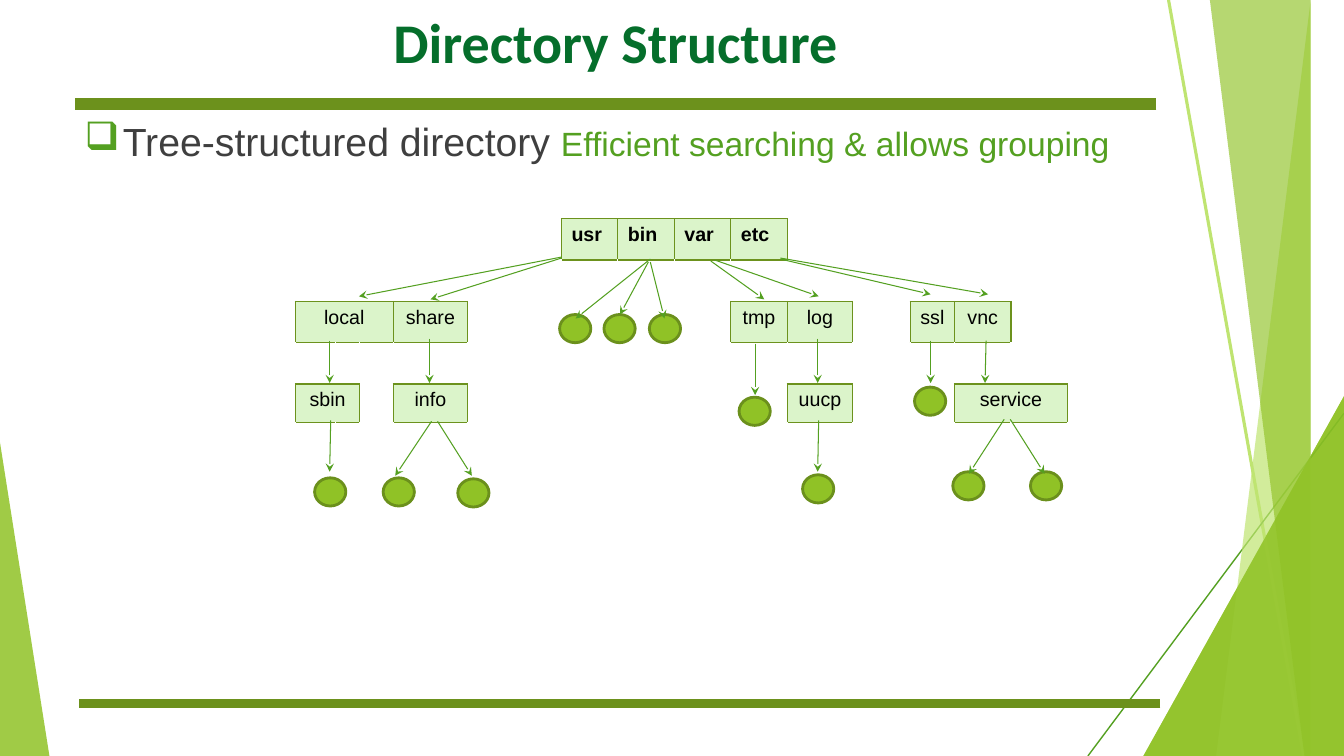
from lxml import etree
from pptx import Presentation
from pptx.dml.color import RGBColor
from pptx.enum import shapes, text
from pptx.oxml import ns
from pptx.util import Inches, Pt

WHITE = RGBColor(0xFF, 0xFF, 0xFF)
BLACK = RGBColor(0, 0, 0)
GREY = RGBColor(0x3F, 0x3F, 0x3F)
TITLE_GREEN = RGBColor(0x05, 0x6E, 0x2B)
GREEN = RGBColor(0x54, 0xA0, 0x21)
LIME = RGBColor(0x90, 0xC2, 0x26)
PALE_LIME = RGBColor(0xBF, 0xE4, 0x71)
RULE_GREEN = RGBColor(0x6C, 0x91, 0x1C)
EDGE_GREEN = RGBColor(0x6C, 0x92, 0x1D)
DOT_EDGE = RGBColor(0x6B, 0x90, 0x1C)
CELL_GREEN = RGBColor(0xDB, 0xF4, 0xCA)

TITLE = "Directory Structure"
HEADING = [("Tree-structured directory ", 28, GREY),
           ("Efficient searching & allows grouping", 24, GREEN)]

COLUMNS = [0.71, 0.4, 0.22, 0.33, 0.74, 0.37, 0.56, 0.56, 0.56, 0.56, 0.56,
           0.65, 0.57, 0.44, 0.56, 0.56, 0.34]
ROWS = [0.41, 0.41, 0.41, 0.41, 0.38, 0.41, 0.41]
DIRECTORIES = [
    (0, 7, 1, "usr"), (0, 8, 1, "bin"), (0, 9, 1, "var"), (0, 10, 1, "etc"),
    (2, 1, 3, "local"), (2, 4, 1, "share"), (2, 10, 1, "tmp"), (2, 11, 1, "log"),
    (2, 13, 1, "ssl"), (2, 14, 1, "vnc"),
    (4, 1, 2, "sbin"), (4, 4, 1, "info"), (4, 11, 1, "uucp"), (4, 14, 2, "service"),
]
FILES = [(5.55, 3.12), (5.99, 3.12), (6.44, 3.12), (7.33, 3.94), (9.07, 3.84),
         (3.12, 4.74), (3.8, 4.74), (4.54, 4.75), (7.96, 4.71), (9.45, 4.68),
         (10.22, 4.68)]
ARROWS = [
    (5.57, 2.55, 3.56, 2.94), (5.57, 2.56, 4.27, 2.97),
    (6.45, 2.57, 5.71, 3.16), (6.43, 2.6, 6.15, 3.12), (6.45, 2.6, 6.59, 3.16),
    (7.05, 2.59, 7.58, 2.97), (7.09, 2.58, 8.12, 2.94),
    (7.74, 2.57, 9.23, 2.92), (7.74, 2.56, 9.8, 2.92),
    (3.27, 3.38, 3.27, 3.8), (4.26, 3.36, 4.26, 3.8), (7.49, 3.41, 7.49, 3.92),
    (8.11, 3.36, 8.11, 3.8), (9.23, 3.38, 9.23, 3.8), (9.78, 3.38, 9.77, 3.8),
    (3.28, 4.17, 3.27, 4.68), (4.28, 4.18, 3.92, 4.72), (4.34, 4.18, 4.68, 4.72),
    (8.12, 4.17, 8.11, 4.68), (9.96, 4.16, 9.61, 4.7), (10.02, 4.16, 10.36, 4.7),
]

RIGHT_TRIANGLE = (11.34, 3.93, 1.99, 3.57, 1, 80)
LEFT_TRIANGLE = (0, 4.39, 0.49, 3.11, 0, 85)
STRIPES = [(11.59, 0, 12.93, 7.5, PALE_LIME, 2.25), (13.33, 4.1, 10.79, 7.5, GREEN, 1)]
BANDS = [([(13.03, 0), (13.33, 0), (13.33, 7.5), (11.92, 7.5)], PALE_LIME, 70),
         ([(11.96, 0), (13.33, 0), (13.33, 7.5), (13.18, 7.5)], LIME, 65)]
RULES = [(11.47, 1.03, 0.74, 1.03, RULE_GREEN, 8.75),
         (11.51, 6.98, 0.78, 6.98, RULE_GREEN, 6)]
SIDES = [("lnL", 0, -1), ("lnR", 0, 1), ("lnT", -1, 0), ("lnB", 1, 0)]


def add(parent, tag, **attributes):
    return etree.SubElement(parent, ns.qn(tag), attributes)


def paint(shape, color, opacity=100):
    shape.shadow.inherit = False
    shape.fill.solid()
    shape.fill.fore_color.rgb = color
    shape.line.fill.background()
    if opacity < 100:
        tint = shape.fill._xPr.find(".//" + ns.qn("a:srgbClr"))
        add(tint, "a:alpha", val=str(opacity * 1000))


def add_triangle(page, left, top, width, height, apex, opacity):
    triangle = page.shapes.add_shape(shapes.MSO_SHAPE.ISOSCELES_TRIANGLE, Inches(left),
                                     Inches(top), Inches(width), Inches(height))
    triangle.adjustments[0] = apex
    paint(triangle, LIME, opacity)


def add_line(page, x1, y1, x2, y2, color, weight, arrow=False):
    line = page.shapes.add_connector(shapes.MSO_CONNECTOR.STRAIGHT, Inches(x1),
                                     Inches(y1), Inches(x2), Inches(y2))
    line.line.color.rgb = color
    line.line.width = Pt(weight)
    if arrow:
        add(line.line._get_or_add_ln(), "a:tailEnd", type="stealth", w="med", len="med")
    add(line._element.spPr, "a:effectLst")


def add_text(page, left, top, width, height):
    box = page.shapes.add_textbox(Inches(left), Inches(top), Inches(width), Inches(height))
    box.text_frame.word_wrap = True
    return box.text_frame.paragraphs[0]


def add_backdrop(page):
    add_triangle(page, *RIGHT_TRIANGLE)
    add_triangle(page, *LEFT_TRIANGLE)
    for stripe in STRIPES:
        add_line(page, *stripe)
    for points, color, opacity in BANDS:
        builder = page.shapes.build_freeform(*points[0], scale=Inches(1))
        builder.add_line_segments(points[1:], close=True)
        paint(builder.convert_to_shape(), color, opacity)
    add_triangle(page, *RIGHT_TRIANGLE)
    for rule in RULES:
        add_line(page, *rule)


def add_headings(page):
    para = add_text(page, 0.74, 0.03, 10.73, 1.01)
    para.text = TITLE
    para.alignment = text.PP_ALIGN.CENTER
    para.font.name, para.font.size, para.font.bold = "Calibri", Pt(40), True
    para.font.color.rgb = TITLE_GREEN

    para = add_text(page, 0.74, 1.15, 10.73, 0.6)
    para.line_spacing = 0.94
    for words, size, color in HEADING:
        span = para.add_run()
        span.text = words
        span.font.name, span.font.size = "Arial", Pt(size)
        span.font.color.rgb = color
    props = para._p.get_or_add_pPr()
    props.set("marL", str(Inches(0.38)))
    props.set("indent", str(-Inches(0.38)))
    add(add(props, "a:buClr"), "a:srgbClr", val=str(GREEN))
    add(props, "a:buChar", char="❑")


def add_directories(page):
    frame = page.shapes.add_table(len(ROWS), len(COLUMNS), Inches(2.22), Inches(2.17),
                                  Inches(sum(COLUMNS)), Inches(sum(ROWS)))
    table = frame.table
    table.first_row = table.horz_banding = False
    for column, width in zip(table.columns, COLUMNS):
        column.width = Inches(width)
    for row, height in zip(table.rows, ROWS):
        row.height = Inches(height)
    named = {(r, c + i) for r, c, count, _ in DIRECTORIES for i in range(count)}
    for r in range(len(ROWS)):
        for c in range(len(COLUMNS)):
            cell = table.cell(r, c)
            props = cell._tc.get_or_add_tcPr()
            for side, down, across in SIDES:
                outlined = named & {(r, c), (r + down, c + across)}
                edge = add(props, "a:" + side, w=str(Pt(1)))
                add(add(edge, "a:solidFill"), "a:srgbClr",
                    val=str(EDGE_GREEN if outlined else WHITE))
            if (r, c) in named:
                cell.fill.solid()
                cell.fill.fore_color.rgb = CELL_GREEN
            else:
                cell.fill.background()
            cell.text_frame.paragraphs[0].font.size = Pt(14)
    for r, c, count, name in DIRECTORIES:
        cell = table.cell(r, c)
        if count > 1:
            cell.merge(table.cell(r, c + count - 1))
        para = cell.text_frame.paragraphs[0]
        para.text = name
        para.alignment = text.PP_ALIGN.CENTER if r else text.PP_ALIGN.LEFT
        para.font.name, para.font.size, para.font.bold = "Arial", Pt(14), r == 0
        para.font.color.rgb = BLACK


def add_files(page):
    for left, top in FILES:
        dot = page.shapes.add_shape(shapes.MSO_SHAPE.OVAL, Inches(left), Inches(top),
                                    Inches(0.31), Inches(0.28))
        paint(dot, LIME)
        dot.line.color.rgb = DOT_EDGE
        dot.line.width = Pt(2)
    for ends in ARROWS:
        add_line(page, *ends, GREEN, 0.75, arrow=True)


def main():
    deck = Presentation()
    deck.slide_width, deck.slide_height = Inches(13.33), Inches(7.5)
    page = deck.slides.add_slide(deck.slide_layouts[6])
    add_backdrop(page)
    add_headings(page)
    add_directories(page)
    add_files(page)
    deck.save("out.pptx")


if __name__ == "__main__":
    main()
